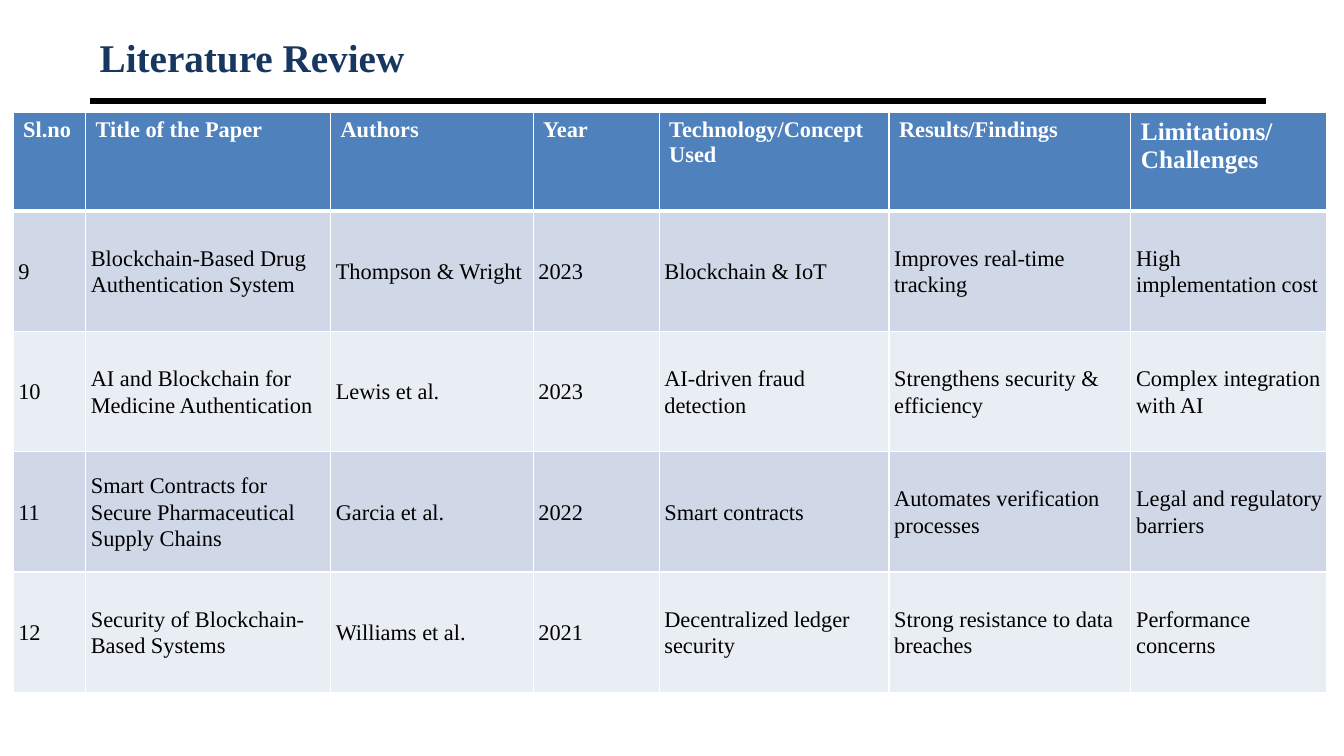
from dataclasses import dataclass

from lxml import etree
from pptx import Presentation
from pptx.dml.color import RGBColor
from pptx.enum.shapes import MSO_CONNECTOR
from pptx.enum.text import MSO_ANCHOR, MSO_AUTO_SIZE, PP_ALIGN
from pptx.oxml.ns import qn
from pptx.util import Pt

STRAIGHT = MSO_CONNECTOR.STRAIGHT
MIDDLE = MSO_ANCHOR.MIDDLE
LEFT = PP_ALIGN.LEFT
NO_AUTOFIT = MSO_AUTO_SIZE.NONE
TITLE_ONLY = 5


@dataclass(frozen=True)
class Theme:
    font: str = "Times New Roman"
    title: str = "17375E"
    black: str = "000000"
    white: str = "FFFFFF"
    header: str = "4F81BD"
    bands: tuple = ("D0D8E8", "E9EDF4")
    title_size: float = 28
    large_size: float = 18
    text_size: float = 16


HEADERS = ["Sl.no", "Title of the Paper", "Authors", "Year",
           "Technology/Concept Used", "Results/Findings",
           "Limitations/\nChallenges"]
PAPERS = [
    ["9", "Blockchain-Based Drug Authentication System", "Thompson & Wright",
     "2023", "Blockchain & IoT", "Improves real-time tracking",
     "High implementation cost"],
    ["10", "AI and Blockchain for Medicine Authentication", "Lewis et al.",
     "2023", "AI-driven fraud detection", "Strengthens security & efficiency",
     "Complex integration with AI"],
    ["11", "Smart Contracts for Secure Pharmaceutical Supply Chains",
     "Garcia et al.", "2022", "Smart contracts",
     "Automates verification processes", "Legal and regulatory barriers"],
    ["12", "Security of Blockchain-Based Systems", "Williams et al.",
     "2021", "Decentralized ledger security",
     "Strong resistance to data breaches", "Performance concerns"],
]
COLUMN_WIDTHS = [51.84, 174.96, 144.72, 90, 164.16, 172.8, 139.68]
HEADER_HEIGHT = 70
PAPER_HEIGHT = 86


class SlideBuilder:
    def __init__(self, slide, theme):
        self.slide = slide
        self.theme = theme

    def style_text(self, frame, size, color, bold=False):
        for para in frame.paragraphs:
            para.alignment = LEFT
            for span in para.runs:
                span.font.name = self.theme.font
                span.font.size = Pt(size)
                span.font.bold = bold
                span.font.color.rgb = RGBColor.from_string(color)

    def title(self, text, left, top, width, height):
        box = self.slide.shapes.title
        box.left, box.top, box.width, box.height = map(
            Pt, (left, top, width, height))
        frame = box.text_frame
        frame.text = text
        frame.auto_size = NO_AUTOFIT
        frame.vertical_anchor = MIDDLE
        self.style_text(frame, self.theme.title_size, self.theme.title, True)

    def rule(self, left, top, width, weight):
        line = self.slide.shapes.add_connector(
            STRAIGHT, Pt(left), Pt(top), Pt(left + width), Pt(top))
        line.line.width = Pt(weight)
        line.line.color.rgb = RGBColor.from_string(self.theme.black)
        etree.SubElement(line._element.spPr, qn("a:effectLst"))

    def table(self, left, top, widths, heights, headers, records):
        table = self.slide.shapes.add_table(
            len(heights), len(widths), Pt(left), Pt(top),
            Pt(sum(widths)), Pt(sum(heights))).table
        for column, width in zip(table.columns, widths):
            column.width = Pt(width)
        for row, height in zip(table.rows, heights):
            row.height = Pt(height)
        for index, text in enumerate(headers):
            self.header_cell(table.cell(0, index), text)
        for number, record in enumerate(records):
            band = self.theme.bands[number % 2]
            for index, text in enumerate(record):
                self.body_cell(table.cell(number + 1, index), text, band)

    def fill_cell(self, cell, color):
        cell.fill.solid()
        cell.fill.fore_color.rgb = RGBColor.from_string(color)

    def header_cell(self, cell, text):
        cell.text_frame.text = text
        size = self.theme.large_size if "\n" in text else self.theme.text_size
        self.style_text(cell.text_frame, size, self.theme.white, True)
        for side, weight in (("L", 1), ("R", 1), ("T", 1), ("B", 3)):
            self.border(cell, side, weight)
        self.fill_cell(cell, self.theme.header)

    def body_cell(self, cell, text, color):
        cell.text_frame.text = text
        cell.vertical_anchor = MIDDLE
        cell.margin_left = cell.margin_right = Pt(0.75)
        cell.margin_top = cell.margin_bottom = Pt(0.75)
        self.style_text(cell.text_frame, self.theme.text_size, self.theme.black)
        para = cell.text_frame.paragraphs[0]
        para.line_spacing = 1.07
        para.space_after = Pt(8)
        properties = para._p.get_or_add_pPr()
        properties.set("marL", str(Pt(3)))
        properties.set("indent", "0")
        self.fill_cell(cell, color)

    def border(self, cell, side, weight):
        line = etree.SubElement(cell._tc.get_or_add_tcPr(),
                                qn(f"a:ln{side}"), w=str(Pt(weight)))
        fill = etree.SubElement(line, qn("a:solidFill"))
        etree.SubElement(fill, qn("a:srgbClr"), val=self.theme.white)


def main():
    deck = Presentation()
    deck.slide_width, deck.slide_height = Pt(960), Pt(540)
    page = deck.slides.add_slide(deck.slide_layouts[TITLE_ONLY])
    builder = SlideBuilder(page, Theme())
    builder.title("Literature Review", 64, 21.6, 840, 38.4)
    builder.rule(64, 72, 840, 4.5)
    heights = [HEADER_HEIGHT] + [PAPER_HEIGHT] * len(PAPERS)
    builder.table(9.36, 80.64, COLUMN_WIDTHS, heights, HEADERS, PAPERS)
    deck.save("out.pptx")


if __name__ == "__main__":
    main()
